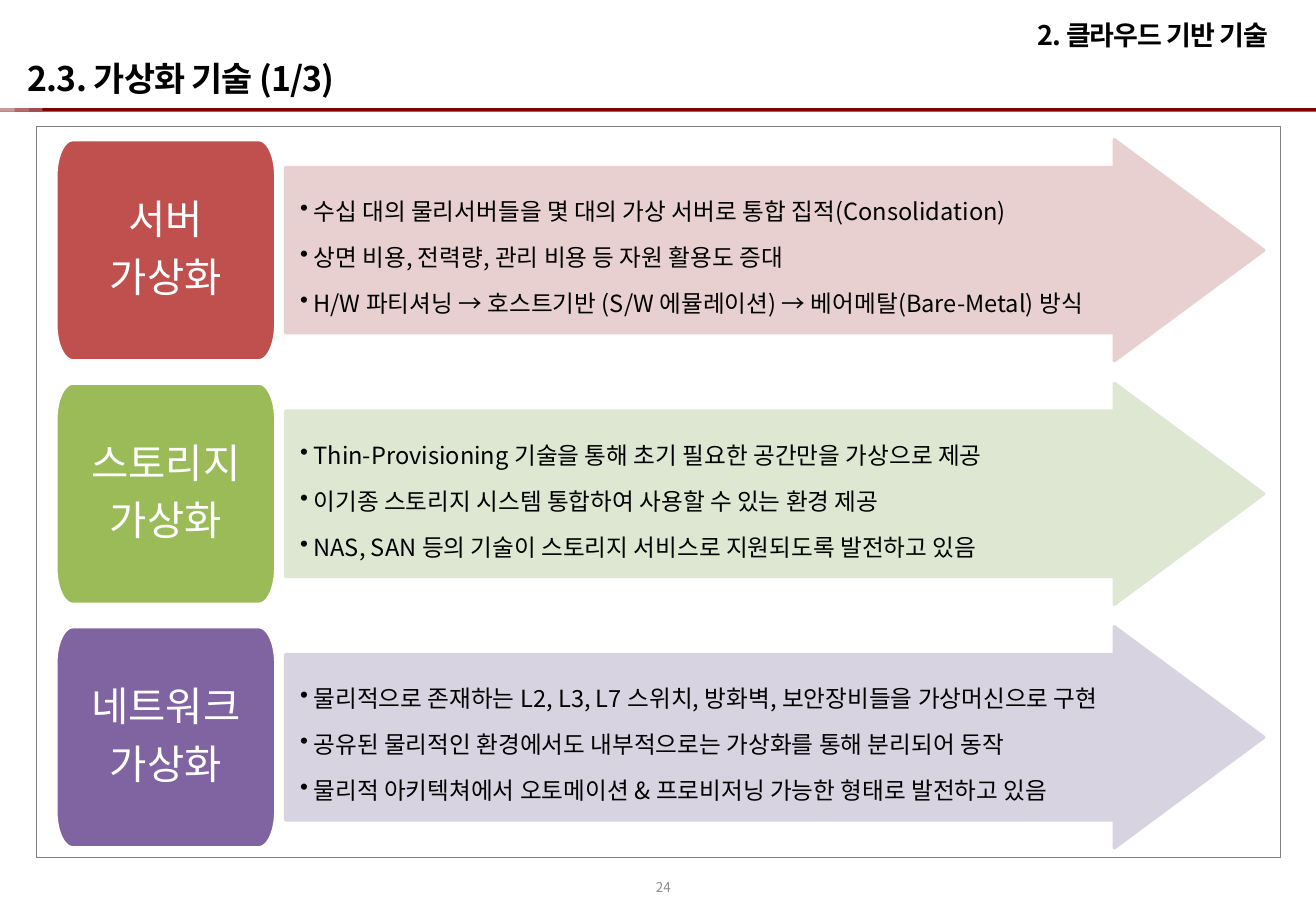
import math

from lxml import etree
from pptx import Presentation
from pptx.dml.color import RGBColor
from pptx.enum.shapes import MSO_SHAPE
from pptx.enum.text import MSO_ANCHOR, PP_ALIGN
from pptx.oxml.ns import qn
from pptx.util import Inches, Pt

RECTANGLE = MSO_SHAPE.RECTANGLE
TOP, MIDDLE, BOTTOM = MSO_ANCHOR.TOP, MSO_ANCHOR.MIDDLE, MSO_ANCHOR.BOTTOM
LEFT, CENTER, RIGHT = PP_ALIGN.LEFT, PP_ALIGN.CENTER, PP_ALIGN.RIGHT

FONT = "Noto Sans CJK KR"
BLACK = RGBColor(0x00, 0x00, 0x00)
WHITE = RGBColor(0xFF, 0xFF, 0xFF)
GRAY = RGBColor(0x80, 0x80, 0x80)
NUMBER_GRAY = RGBColor(0x8C, 0x8C, 0x8C)
RULE_STRIPES = [
    (10.83, RGBColor(0x7E, 0x00, 0x00)),
    (0.35, RGBColor(0xA4, 0x4B, 0x4B)),
    (0.24, RGBColor(0xB4, 0x6B, 0x6B)),
    (0.12, RGBColor(0xCB, 0x99, 0x99)),
]

FIRST_ROW_TOP = 1.15
ROW_PITCH = 2.005
ROW_HEIGHT = 1.82
TOPICS = [
    (["서버", "가상화"], RGBColor(0xC0, 0x50, 0x4D), RGBColor(0xE8, 0xD0, 0xD0), [
        "수십 대의 물리서버들을 몇 대의 가상 서버로 통합 집적(Consolidation)",
        "상면 비용, 전력량, 관리 비용 등 자원 활용도 증대",
        "H/W 파티셔닝 → 호스트기반 (S/W 에뮬레이션) → 베어메탈(Bare-Metal) 방식",
    ]),
    (["스토리지", "가상화"], RGBColor(0x9B, 0xBB, 0x59), RGBColor(0xDE, 0xE7, 0xD1), [
        "Thin-Provisioning 기술을 통해 초기 필요한 공간만을 가상으로 제공",
        "이기종 스토리지 시스템 통합하여 사용할 수 있는 환경 제공",
        "NAS, SAN 등의 기술이 스토리지 서비스로 지원되도록 발전하고 있음",
    ]),
    (["네트워크", "가상화"], RGBColor(0x80, 0x64, 0xA2), RGBColor(0xD8, 0xD3, 0xE0), [
        "물리적으로 존재하는 L2, L3, L7 스위치, 방화벽, 보안장비들을 가상머신으로 구현",
        "공유된 물리적인 환경에서도 내부적으로는 가상화를 통해 분리되어 동작",
        "물리적 아키텍쳐에서 오토메이션 & 프로비저닝 가능한 형태로 발전하고 있음",
    ]),
]


def style_span(span, size, color, bold=False, spacing=0):
    """Format a run for Latin and Korean text, unkerned; spacing is in points."""
    font = span.font
    font.size, font.bold, font.name = Pt(size), bold, FONT
    font.color.rgb = color
    properties = span._r.get_or_add_rPr()
    etree.SubElement(properties, qn("a:ea")).set("typeface", FONT)
    properties.set("kern", "0")
    if spacing:
        properties.set("spc", str(int(spacing * 100)))


def set_margins(frame, left, top, right, bottom):
    frame.margin_left, frame.margin_top = Inches(left), Inches(top)
    frame.margin_right, frame.margin_bottom = Inches(right), Inches(bottom)


def add_bullet(para, indent):
    properties = para._p.get_or_add_pPr()
    properties.set("marL", str(Inches(indent)))
    properties.set("indent", str(-Inches(indent)))
    etree.SubElement(properties, qn("a:buChar")).set("char", "•")


def fill_lines(frame, lines, size, color, align, line_spacing, space_after, indent=0):
    """Write one paragraph per line, bulleted when an indent is given."""
    frame.word_wrap = True
    frame.vertical_anchor = MIDDLE
    frame.text = "\n".join(lines)
    for para in frame.paragraphs:
        para.alignment = align
        para.line_spacing = line_spacing
        para.space_after = Pt(space_after)
        if indent:
            add_bullet(para, indent)
        style_span(para.runs[0], size, color)


def add_label(page, text, left, top, width, height, size, color, align, anchor,
              bold=True, spacing=-0.5):
    box = page.shapes.add_textbox(Inches(left), Inches(top), Inches(width), Inches(height))
    frame = box.text_frame
    frame.word_wrap = True
    frame.vertical_anchor = anchor
    frame.text = text
    para = frame.paragraphs[0]
    para.alignment = align
    style_span(para.runs[0], size, color, bold, spacing)


def add_rule(page):
    for width, color in RULE_STRIPES:
        stripe = page.shapes.add_shape(
            RECTANGLE, Inches(0), Inches(0.89), Inches(width), Inches(0.03))
        stripe.shadow.inherit = False
        stripe.fill.solid()
        stripe.fill.fore_color.rgb = color
        stripe.line.fill.background()


def add_content_frame(page):
    border = page.shapes.add_shape(
        RECTANGLE, Inches(0.3), Inches(1.04), Inches(10.24), Inches(6.02))
    border.shadow.inherit = False
    border.fill.background()
    border.line.color.rgb = GRAY
    border.line.width = Pt(0.25)


def add_outline(page, points, fill_color, line_color):
    """Draw a closed outline through points given in inches."""
    corners = [(Inches(x), Inches(y)) for x, y in points]
    builder = page.shapes.build_freeform(*corners[0])
    builder.add_line_segments(corners[1:], close=True)
    shape = builder.convert_to_shape()
    shape.shadow.inherit = False
    shape.fill.solid()
    shape.fill.fore_color.rgb = fill_color
    shape.line.color.rgb = line_color
    shape.line.width = Pt(2)
    return shape


def arrow_outline(left, top, width, height, head, shoulder):
    """Return points of a right arrow; shoulder is the step from shaft to head."""
    neck, bottom = left + width - head, top + height
    return [(left, top + shoulder), (neck, top + shoulder), (neck, top),
            (left + width, top + height / 2), (neck, bottom),
            (neck, bottom - shoulder), (left, bottom - shoulder)]


def rounded_outline(left, top, width, height, radius_x, radius_y, steps=12):
    """Return points of a rectangle whose corners are quarter ellipses."""
    right, bottom = left + width - radius_x, top + height - radius_y
    centers = [(right, bottom), (left + radius_x, bottom),
               (left + radius_x, top + radius_y), (right, top + radius_y)]
    points = []
    for quarter, (x, y) in enumerate(centers):
        for step in range(steps + 1):
            angle = (quarter + step / steps) * math.pi / 2
            points.append((x + radius_x * math.cos(angle), y + radius_y * math.sin(angle)))
    return points


def add_detail_arrow(page, top, color, lines):
    points = arrow_outline(2.35, top, 8.05, ROW_HEIGHT, 1.23, 0.23)
    arrow = add_outline(page, points, color, color)
    set_margins(arrow.text_frame, 0.12, 0.24, 0.69, 0.24)
    fill_lines(arrow.text_frame, lines, 14, BLACK, LEFT, 1.5, 2.1, indent=0.11)


def add_topic_box(page, top, color, lines):
    points = rounded_outline(0.46, top, 1.81, ROW_HEIGHT, 0.14, 0.3)
    box = add_outline(page, points, color, WHITE)
    set_margins(box.text_frame, 0.21, 0.15, 0.21, 0.15)
    fill_lines(box.text_frame, lines, 24, WHITE, CENTER, 0.9, 8.4)


def main():
    deck = Presentation()
    deck.slide_width, deck.slide_height = Inches(10.83), Inches(7.5)
    page = deck.slides.add_slide(deck.slide_layouts[6])
    add_rule(page)
    add_label(page, "24", 5.18, 7.1, 0.44, 0.4, 8, NUMBER_GRAY, RIGHT, MIDDLE,
              bold=False, spacing=0)
    add_content_frame(page)
    add_label(page, "2.3. 가상화 기술 (1/3)", 0.13, 0.1, 10.17, 0.76, 20, BLACK, LEFT, BOTTOM)
    add_label(page, "2. 클라우드 기반 기술", 6.67, 0.1, 3.87, 0.76, 16, BLACK, RIGHT, TOP)
    for row, (topic, strong, pale, details) in enumerate(TOPICS):
        top = FIRST_ROW_TOP + row * ROW_PITCH
        add_detail_arrow(page, top, pale, details)
        add_topic_box(page, top, strong, topic)
    deck.save("out.pptx")


if __name__ == "__main__":
    main()
